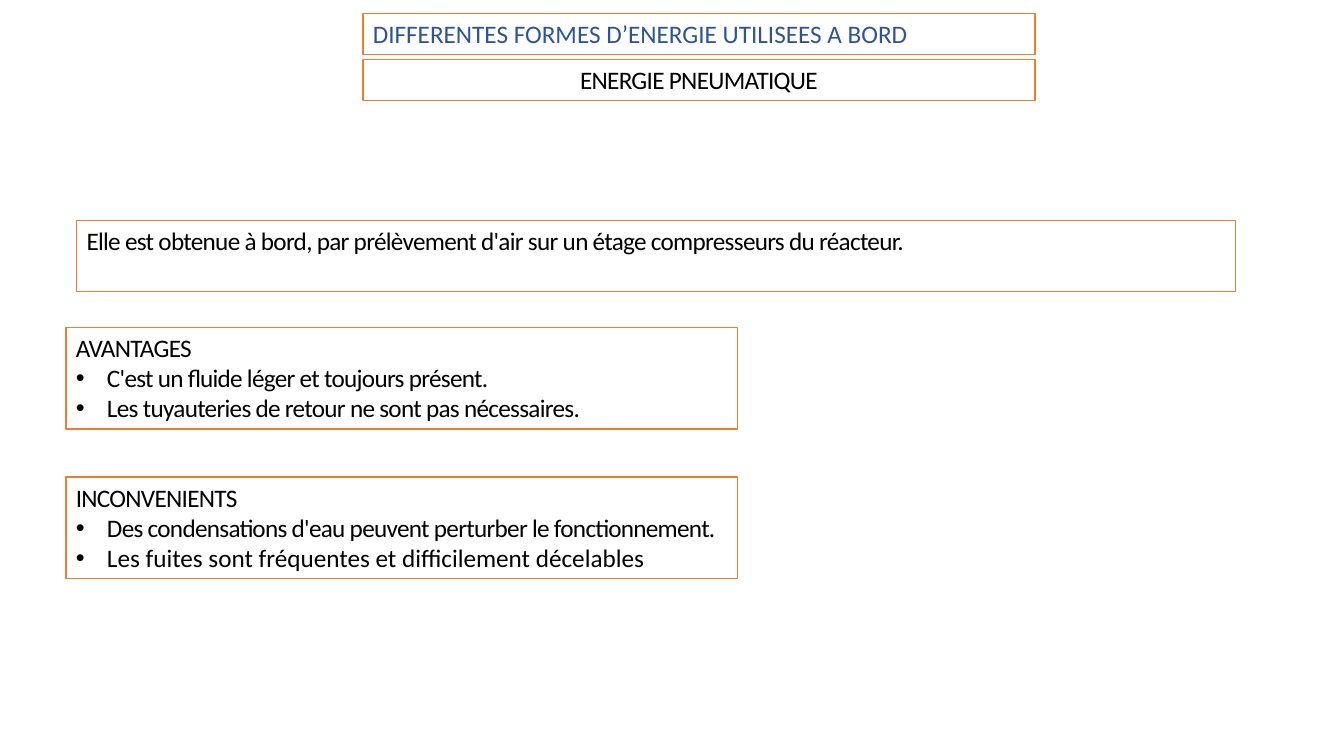
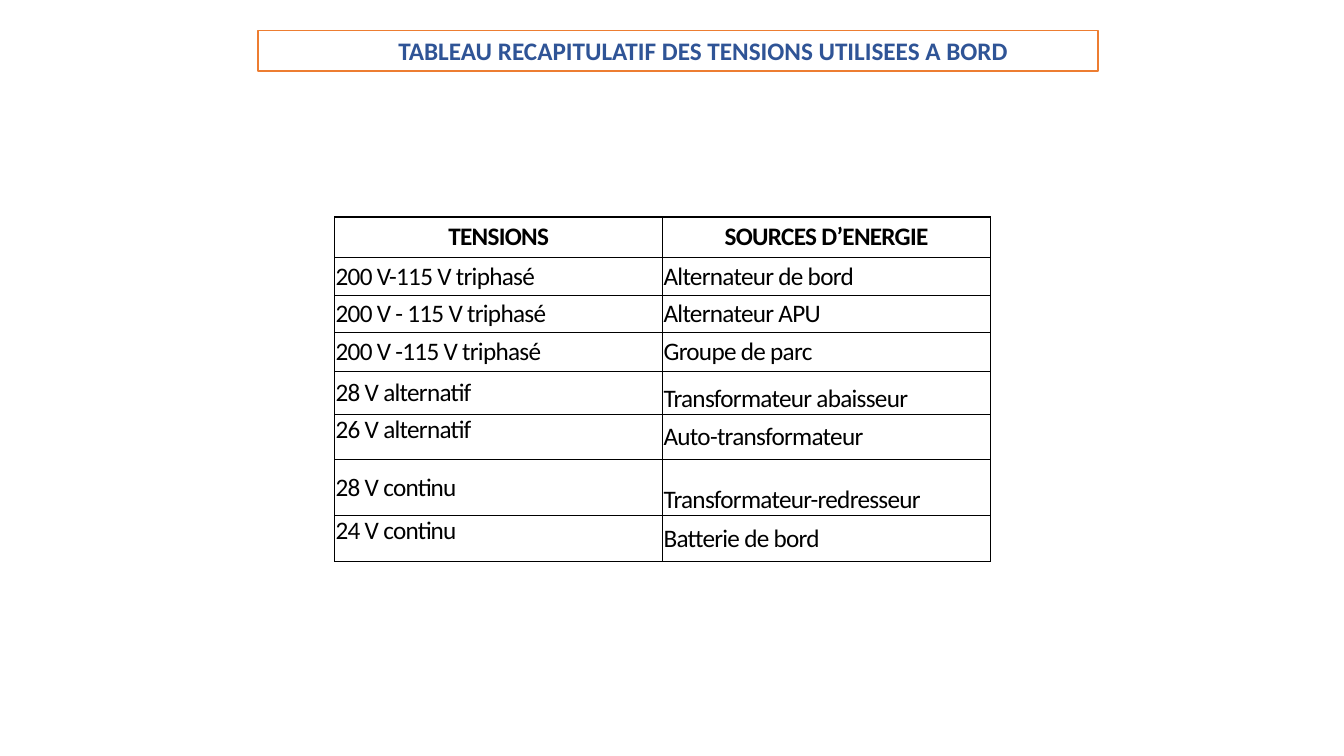
from lxml.etree import SubElement
from pptx import Presentation
from pptx.dml.color import RGBColor
from pptx.enum.shapes import MSO_SHAPE as Shape
from pptx.enum.text import MSO_ANCHOR as Anchor, PP_ALIGN as Align
from pptx.oxml.ns import qn
from pptx.util import Inches, Pt

WIDTH, HEIGHT = 13.333, 7.5
FONT, SIZE, TIGHT = "Calibri", 18, -0.5
BLACK, WHITE, BLUE, ORANGE = "000000", "FFFFFF", "2F5496", "ED7D31"
HALF, LINE_HEIGHT, LIST_HEIGHT = 50, 5.4, 13.46

TENSIONS = [
    ("TENSIONS", "SOURCES D’ENERGIE"),
    ("200 V-115 V triphasé", "Alternateur de bord"),
    ("200 V - 115 V triphasé", "Alternateur APU"),
    ("200 V -115 V triphasé", "Groupe de parc"),
    ("28 V alternatif", "Transformateur abaisseur"),
    ("26 V alternatif", "Auto-transformateur"),
    ("28 V continu", "Transformateur-redresseur"),
    ("24 V continu", "Batterie de bord"),
]
ROW_HEIGHTS = [0.4, 0.38, 0.37, 0.38, 0.43, 0.45, 0.55, 0.46]
ANCHORS = {(4, 1): Anchor.BOTTOM, (5, 0): Anchor.TOP,
           (6, 1): Anchor.BOTTOM, (7, 0): Anchor.TOP}


def color(value):
    """Turn a hex string into a colour."""
    return RGBColor.from_string(value)


def across(share):
    """Convert a percentage of the slide width into a length."""
    return Inches(WIDTH * share / 100)


def down(share):
    """Convert a percentage of the slide height into a length."""
    return Inches(HEIGHT * share / 100)


def add_bullet(para):
    """Give a paragraph a round bullet with a hanging indent."""
    props = para._p.get_or_add_pPr()
    props.set("marL", str(Inches(0.31)))
    props.set("indent", str(-Inches(0.31)))
    tint = SubElement(props, qn("a:buClr"))
    SubElement(tint, qn("a:srgbClr"), val=BLACK)
    SubElement(props, qn("a:buFont"), typeface="Arial")
    SubElement(props, qn("a:buChar"), char="•")


def write(para, text, ink=BLACK, bold=False, align=Align.LEFT, spacing=TIGHT,
          bullet=False, indent=0):
    """Write one formatted run into a paragraph."""
    para.alignment = align
    if bullet:
        add_bullet(para)
    elif indent:
        para._p.get_or_add_pPr().set("marL", str(Inches(indent)))
    span = para.add_run()
    span.text = text
    font = span.font
    font.name, font.size, font.bold = FONT, Pt(SIZE), bold
    font.color.rgb = color(ink)
    if spacing:
        span._r.get_or_add_rPr().set("spc", str(int(spacing * 100)))


def add_box(page, left, top, width, height):
    """Add a white box with an orange outline and return its text frame."""
    box = page.shapes.add_shape(Shape.RECTANGLE, across(left), down(top),
                                across(width), down(height))
    box.shadow.inherit = False
    box.fill.solid()
    box.fill.fore_color.rgb = color(WHITE)
    box.line.color.rgb = color(ORANGE)
    box.line.width = Pt(1)
    frame = box.text_frame
    frame.word_wrap = True
    frame.vertical_anchor = Anchor.TOP
    return frame


def add_line_box(page, text, left, top, width, height=LINE_HEIGHT, **style):
    """Add a box holding a single paragraph."""
    frame = add_box(page, left, top, width, height)
    write(frame.paragraphs[0], text, **style)


def add_list_box(page, heading, items, top):
    """Add a box with a heading and bulleted (text, spacing) items."""
    frame = add_box(page, 4.9, top, HALF, LIST_HEIGHT)
    write(frame.paragraphs[0], heading)
    for text, spacing in items:
        write(frame.add_paragraph(), text, bullet=True, spacing=spacing)


def add_borders(cell):
    """Draw thin black lines on all sides of a cell."""
    props = cell._tc.get_or_add_tcPr()
    for place, side in enumerate(("a:lnL", "a:lnR", "a:lnT", "a:lnB")):
        line = SubElement(props, qn(side), w=str(Pt(1)))
        fill = SubElement(line, qn("a:solidFill"))
        SubElement(fill, qn("a:srgbClr"), val=BLACK)
        props.insert(place, line)


def add_tension_table(page, left, top, width):
    """Add the table of voltages and their sources."""
    table = page.shapes.add_table(len(TENSIONS), 2, across(left), down(top),
                                  across(width), Inches(sum(ROW_HEIGHTS))).table
    table.first_row = table.horz_banding = False
    for row, (height, texts) in enumerate(zip(ROW_HEIGHTS, TENSIONS)):
        table.rows[row].height = Inches(height)
        header = row == 0
        for column, text in enumerate(texts):
            cell = table.cell(row, column)
            cell.margin_left = cell.margin_right = Inches(0.01)
            cell.margin_top = cell.margin_bottom = 0
            cell.vertical_anchor = ANCHORS.get((row, column), Anchor.MIDDLE)
            cell.fill.background()
            add_borders(cell)
            write(cell.text_frame.paragraphs[0], text, bold=header,
                  align=Align.CENTER if header else Align.LEFT)


def build_pneumatic(page):
    """Fill the slide on pneumatic energy."""
    add_line_box(page, "Elle est obtenue à bord, par prélèvement d'air sur un "
                 "étage compresseurs du réacteur.", 5.7, 29.2, 86.25, 9.4)
    add_line_box(page, "DIFFERENTES FORMES D’ENERGIE UTILISEES A BORD",
                 27, 1.8, HALF, ink=BLUE, spacing=0)
    add_line_box(page, "ENERGIE PNEUMATIQUE", 27, 7.9, HALF,
                 align=Align.CENTER)
    add_list_box(page, "AVANTAGES", [
        ("C'est un fluide léger et toujours présent.", TIGHT),
        ("Les tuyauteries de retour ne sont pas nécessaires.", TIGHT),
    ], 43.3)
    add_list_box(page, "INCONVENIENTS", [
        ("Des condensations d'eau peuvent perturber le fonctionnement.", TIGHT),
        ("Les fuites sont fréquentes et difficilement décelables", 0),
    ], 63.1)


def build_tensions(page):
    """Fill the slide that sums up the voltages."""
    add_line_box(page, "TABLEAU RECAPITULATIF DES TENSIONS UTILISEES A BORD",
                 19.2, 4, 62.5, ink=BLUE, bold=True, spacing=0,
                 align=Align.CENTER, indent=0.5)
    add_tension_table(page, 24.9, 28.7, 48.8)


def main():
    """Build and save the deck."""
    deck = Presentation()
    deck.slide_width, deck.slide_height = Inches(WIDTH), Inches(HEIGHT)
    for build in (build_pneumatic, build_tensions):
        build(deck.slides.add_slide(deck.slide_layouts[6]))
    deck.save("out.pptx")


if __name__ == "__main__":
    main()
